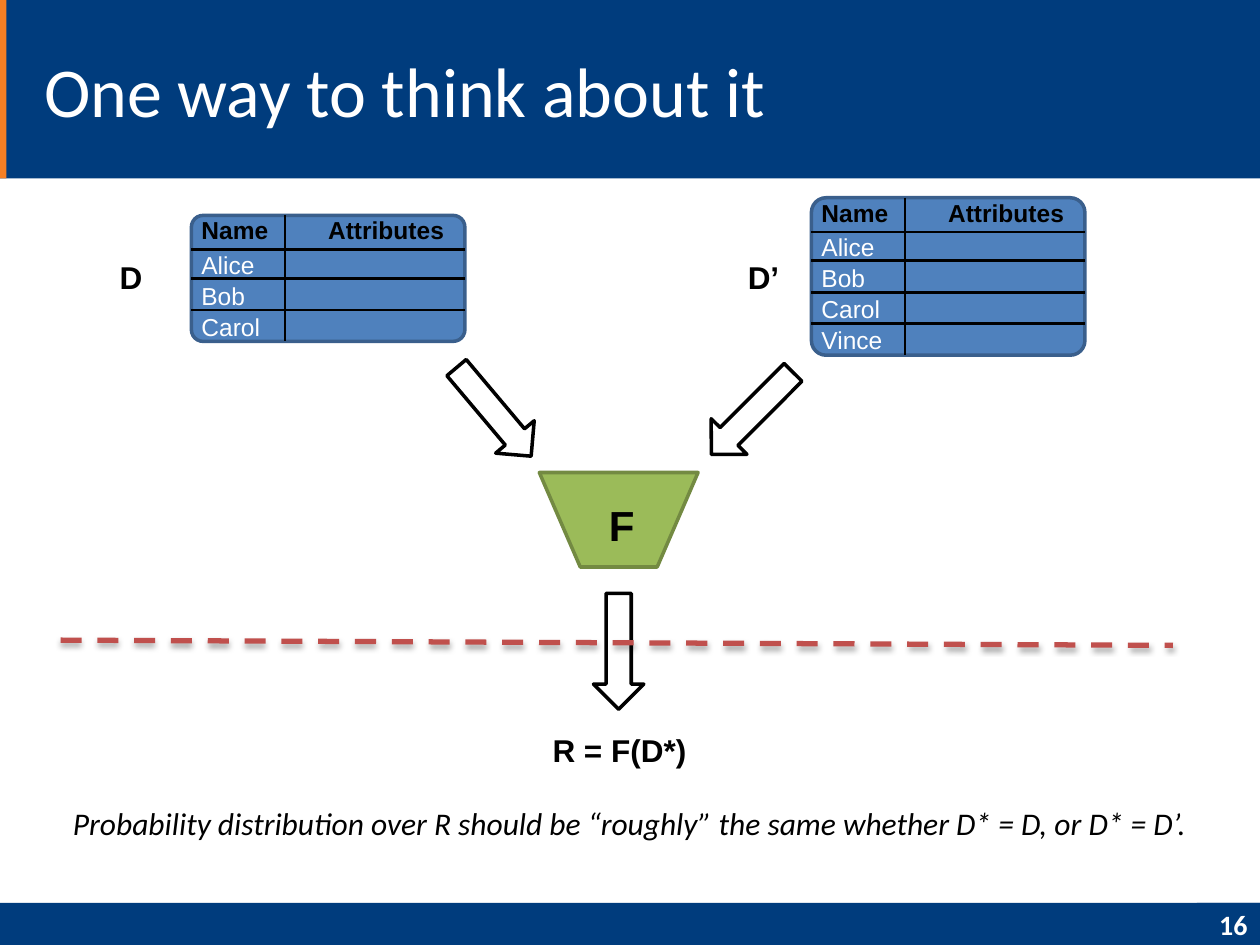
from lxml import etree
from pptx import Presentation
from pptx.dml.color import RGBColor
from pptx.enum.dml import MSO_LINE
from pptx.enum.shapes import MSO_CONNECTOR, MSO_SHAPE
from pptx.enum.text import MSO_ANCHOR, MSO_AUTO_SIZE, PP_ALIGN
from pptx.oxml.ns import qn
from pptx.util import Pt

LEFT, CENTER, RIGHT = PP_ALIGN.LEFT, PP_ALIGN.CENTER, PP_ALIGN.RIGHT
TOP, MIDDLE = MSO_ANCHOR.TOP, MSO_ANCHOR.MIDDLE
RECT, ROUNDED = MSO_SHAPE.RECTANGLE, MSO_SHAPE.ROUNDED_RECTANGLE
ARROW, TRAPEZOID = MSO_SHAPE.RIGHT_ARROW, MSO_SHAPE.TRAPEZOID

COLORS = {
    "navy": "003C7D", "orange": "F47F24", "white": "FFFFFF", "black": "000000",
    "blue": "4F81BD", "blue edge": "3A5F8C",
    "green": "9BBB59", "green edge": "738A42", "red": "C0504D",
}

TITLE = "One way to think about it"
CONCLUSION = ("Probability distribution over R should be “roughly” the same "
              "whether D* = D, or D* = D’.")
PAGE = "16"
# colour, left, top, width, height
BARS = [
    ("navy", 0, 516, 720, 24),
    ("navy", 0, 0, 720, 102),
    ("orange", 0, 0, 3.6, 102),
]
HEADER = ("Name", "Attributes")
# label, label left, table left, table top, names
DATABASES = [
    ("D", 54, 109.4, 123.1, ["Alice", "Bob", "Carol"]),
    ("D’", 415.4, 463.7, 113, ["Alice", "Bob", "Carol", "Vince"]),
]
# left, top, rotation
ARROWS = [(249.1, 221, 49.9), (396.7, 221.8, 134.9), (320.4, 357.8, 90)]
ARROW_W, ARROW_H = 66.2, 28.8
TABLE_W, NAME_W, ROW_H, HEADER_H = 156.3, 53.5, 18, 19.5

prs = Presentation()
prs.slide_width, prs.slide_height = Pt(720), Pt(540)
s = prs.slides.add_slide(prs.slide_layouts[1])


def rgb(name):
    return RGBColor.from_string(COLORS[name])


def write(sp, text, size=18, color="black", font="Arial", bold=False,
          italic=False, align=LEFT, anchor=TOP, before=0):
    tf = sp.text_frame
    tf.word_wrap = True
    tf.auto_size = MSO_AUTO_SIZE.NONE
    tf.vertical_anchor = anchor
    tf.text = text
    for p in tf.paragraphs:
        p.alignment = align
        p.space_before = Pt(before)
        f = p.runs[0].font
        f.size, f.name, f.bold, f.italic = Pt(size), font, bold, italic
        f.color.rgb = rgb(color)


def place(sp, *box):
    sp.left, sp.top, sp.width, sp.height = map(Pt, box)


def add_text(text, *box, **fmt):
    write(s.shapes.add_textbox(*map(Pt, box)), text, **fmt)


def add_shape(kind, fill, *box, edge=None, rotation=0, adjust=None):
    sp = s.shapes.add_shape(kind, *map(Pt, box))
    sp.shadow.inherit = False
    sp.fill.solid()
    sp.fill.fore_color.rgb = rgb(fill)
    if edge:
        sp.line.color.rgb = rgb(edge)
        sp.line.width = Pt(2)
    else:
        sp.line.fill.background()
    if adjust is not None:
        sp.adjustments[0] = adjust
    sp.rotation = rotation
    return sp


def add_line(x1, y1, x2, y2, color="black", width=1.5):
    """Draw a straight line; return it with its emptied effect list."""
    ln = s.shapes.add_connector(MSO_CONNECTOR.STRAIGHT, *map(Pt, (x1, y1, x2, y2)))
    ln.line.color.rgb = rgb(color)
    ln.line.width = Pt(width)
    ln.line.dash_style = MSO_LINE.SOLID
    return ln, etree.SubElement(ln._element.spPr, qn("a:effectLst"))


def add_database(label, label_x, x, y, names):
    rows = len(names) + 1
    height = rows * ROW_H
    right = x + TABLE_W
    add_shape(ROUNDED, "blue", x, y, TABLE_W, height, edge="blue edge", adjust=0.093)
    for offset in [HEADER_H] + [ROW_H * i for i in range(2, rows)]:
        add_line(x, y + offset, right, y + offset)
    add_line(x + NAME_W, y, x + NAME_W, y + height)
    for heading, dx in zip(HEADER, (-1.4, 71)):
        add_text(heading, x + dx, y - 3.6, 90, 24.5, size=14, bold=True)
    add_text("\n".join(names), x - 1.4, y + 16.2, 120, height - 13,
             size=14, color="white", before=0.8)
    add_text(label, label_x, 144, 41.8, 28.8, bold=True, align=CENTER)


title, body = s.placeholders
for color, *box in BARS:
    add_shape(RECT, color, *box)
for sp in (title, body):  # bring the placeholders in front of the bars
    s.shapes._spTree.append(sp._element)

place(title, 18, 12, 528, 78)
write(title, TITLE, size=40, color="white", font="Calibri", anchor=MIDDLE)
page = add_shape(RECT, "navy", 684, 516, 36, 24)
write(page, PAGE, size=16, color="white", font="Calibri", bold=True,
      align=RIGHT, anchor=MIDDLE)

place(body, 18, 456, 684, 60)
write(body, CONCLUSION, font="Calibri", italic=True, align=CENTER, before=3.6)
pPr = body.text_frame.paragraphs[0]._p.get_or_add_pPr()
pPr.set("marL", "0")
pPr.set("indent", "0")
etree.SubElement(pPr, qn("a:buNone"))

for x, y, angle in ARROWS:
    add_shape(ARROW, "white", x, y, ARROW_W, ARROW_H, edge="black", rotation=angle)
add_shape(TRAPEZOID, "green", 308.2, 270, 90.7, 54, edge="green edge",
          rotation=180, adjust=0.433)
add_text("F", 308.2, 282.2, 94, 36, size=24, bold=True, align=CENTER)

divider, effects = add_line(34.6, 365.8, 670.3, 368.8, "red", 3)
divider.line.dash_style = MSO_LINE.DASH
shadow = etree.SubElement(effects, qn("a:outerShdw"), blurRad=str(Pt(3.1)),
                          dist=str(Pt(1.8)), dir="5400000", rotWithShape="0")
black = etree.SubElement(shadow, qn("a:srgbClr"), val=COLORS["black"])
etree.SubElement(black, qn("a:alpha"), val="35000")

add_text("R = F(D*)", 300, 414, 108, 30, bold=True, align=CENTER)
for database in DATABASES:
    add_database(*database)

prs.save("out.pptx")
